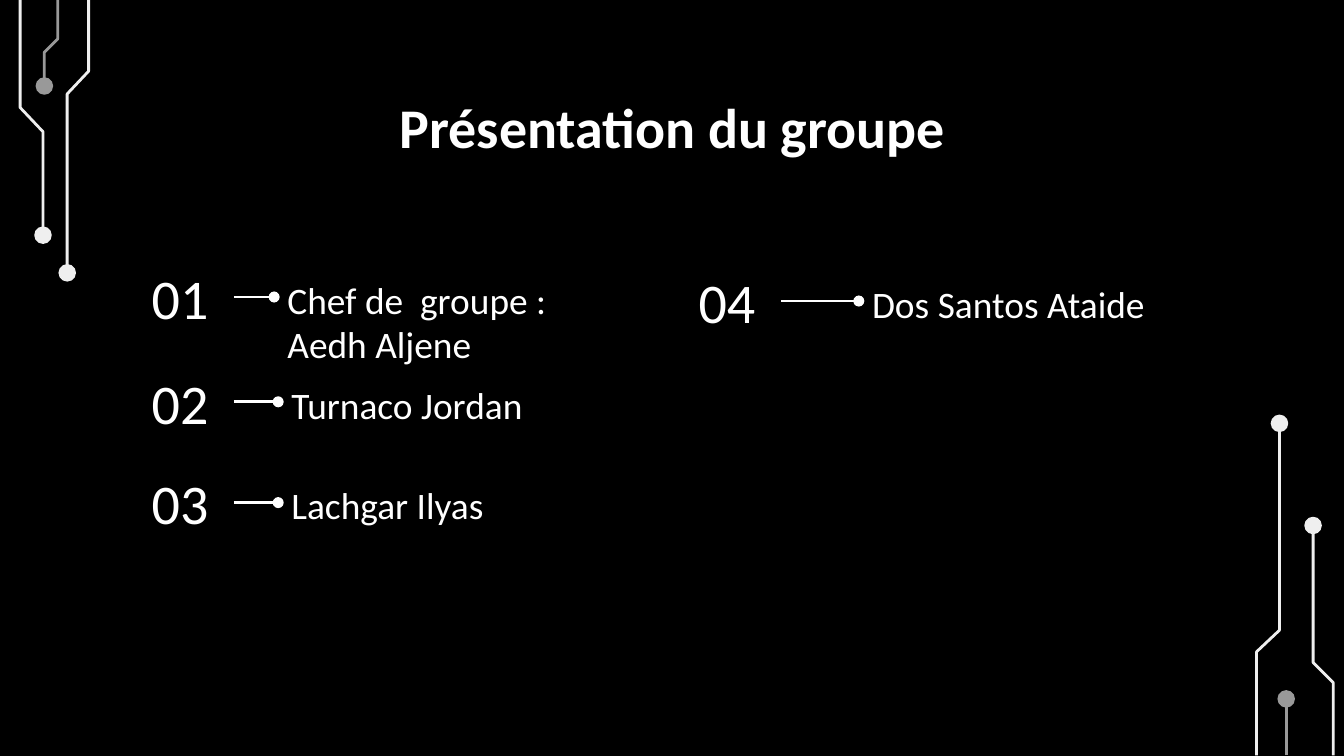
"""Build the group presentation slide with its circuit decoration."""
import dataclasses

import lxml.etree
import pptx
import pptx.dml.color
import pptx.enum.shapes
import pptx.enum.text
import pptx.oxml.ns
import pptx.util

Inches = pptx.util.Inches


@dataclasses.dataclass(frozen=True)
class Theme:
    background: str = "000000"
    text: str = "FFFFFF"
    bright: str = "EFEFEF"
    muted: str = "999999"
    font: str = "Calibri"
    heading_size: int = 30
    name_size: int = 20
    line_width: float = 1.5
    dot_line_width: float = 0.75
    dot_size: float = 0.12
    inset: float = 0.1


def rgb(value):
    return pptx.dml.color.RGBColor.from_string(value)


def format_text(text_frame, text, size, theme, bold=False, align="LEFT", anchor="TOP"):
    text_frame.word_wrap = True
    text_frame.vertical_anchor = getattr(pptx.enum.text.MSO_ANCHOR, anchor)
    for side in ("left", "top", "right", "bottom"):
        setattr(text_frame, f"margin_{side}", Inches(theme.inset))
    paragraph = text_frame.paragraphs[0]
    paragraph.alignment = getattr(pptx.enum.text.PP_ALIGN, align)
    run = paragraph.add_run()
    run.text = text
    run.font.name = theme.font
    run.font.size = pptx.util.Pt(size)
    run.font.bold = bold
    run.font.color.rgb = rgb(theme.text)


class SlideBuilder:
    def __init__(self, slide, theme):
        self.slide = slide
        self.theme = theme
        slide.background.fill.solid()
        slide.background.fill.fore_color.rgb = rgb(theme.background)

    def text(self, text, left, top, width, height, size, **text_format):
        shape = self.slide.shapes.add_textbox(
            Inches(left), Inches(top), Inches(width), Inches(height))
        format_text(shape.text_frame, text, size, self.theme, **text_format)

    def dot(self, x, y, color):
        size = self.theme.dot_size
        shape = self.slide.shapes.add_shape(
            pptx.enum.shapes.MSO_SHAPE.OVAL,
            Inches(x - size / 2), Inches(y - size / 2), Inches(size), Inches(size))
        shape.shadow.inherit = False
        shape.fill.solid()
        shape.fill.fore_color.rgb = rgb(color)
        shape.line.color.rgb = rgb(color)
        shape.line.width = pptx.util.Pt(self.theme.dot_line_width)

    def track(self, points, color):
        corners = [(Inches(x), Inches(y)) for x, y in points]
        builder = self.slide.shapes.build_freeform(*corners[0])
        builder.add_line_segments(corners[1:], close=False)
        shape = builder.convert_to_shape()
        shape.shadow.inherit = False
        shape.fill.background()
        shape.line.color.rgb = rgb(color)
        shape.line.width = pptx.util.Pt(self.theme.line_width)
        self.dot(*points[-1], color)

    def pointer(self, start, end, y):
        connector = self.slide.shapes.add_connector(
            pptx.enum.shapes.MSO_CONNECTOR.STRAIGHT,
            Inches(start), Inches(y), Inches(end), Inches(y))
        connector.line.color.rgb = rgb(self.theme.text)
        connector.line.width = pptx.util.Pt(self.theme.line_width)
        qualified_name = pptx.oxml.ns.qn
        tail = lxml.etree.SubElement(
            connector.line._get_or_add_ln(), qualified_name("a:tailEnd"))
        tail.set("type", "oval")
        lxml.etree.SubElement(connector._element.spPr, qualified_name("a:effectLst"))

    def member(self, number, name, left, top, name_left):
        number_width, name_width, height = 0.8, 2.67, 0.5
        self.text(number, left, top, number_width, height, self.theme.heading_size,
                  align="CENTER", anchor="MIDDLE")
        self.text(name, name_left, top, name_width, height, self.theme.name_size)
        self.pointer(left + number_width, name_left, top + height / 2)


def main():
    presentation = pptx.Presentation()
    presentation.slide_width = Inches(10)
    presentation.slide_height = Inches(10) * 9 // 16
    theme = Theme()
    builder = SlideBuilder(
        presentation.slides.add_slide(presentation.slide_layouts[6]), theme)

    tracks = [
        ([(0.15, 0), (0.15, 0.8), (0.32, 0.98), (0.32, 1.75)], theme.bright),
        ([(0.43, 0), (0.43, 0.29), (0.33, 0.39), (0.33, 0.64)], theme.muted),
        ([(0.66, 0), (0.66, 0.53), (0.5, 0.7), (0.5, 2.03)], theme.bright),
        ([(9.35, 5.62), (9.35, 4.85), (9.52, 4.69), (9.52, 3.15)], theme.bright),
        ([(9.92, 5.62), (9.92, 5.08), (9.77, 4.93), (9.77, 3.91)], theme.bright),
        ([(9.57, 5.62), (9.57, 5.2)], theme.muted),
    ]
    for points, color in tracks:
        builder.track(points, color)

    builder.text("Présentation du groupe", 0.79, 0.59, 8.43, 0.63,
                 theme.heading_size, bold=True, align="CENTER")

    members = [
        ("01", "Chef de  groupe : Aedh Aljene", 0.94, 1.96, 2.04),
        ("02", "Turnaco Jordan", 0.94, 2.74, 2.07),
        ("03", "Lachgar Ilyas", 0.94, 3.49, 2.07),
        ("04", "Dos Santos Ataide", 5.01, 1.99, 6.39),
    ]
    for member in members:
        builder.member(*member)

    presentation.save("out.pptx")


if __name__ == "__main__":
    main()
